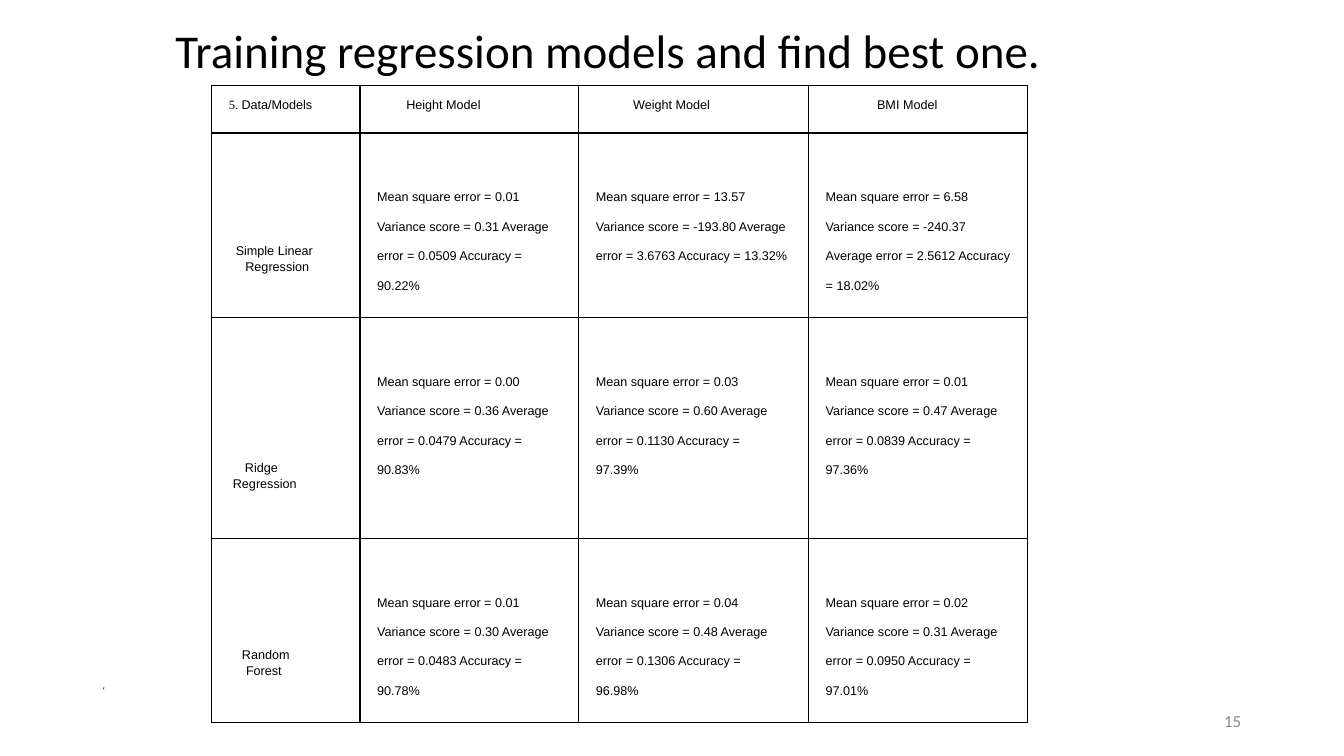
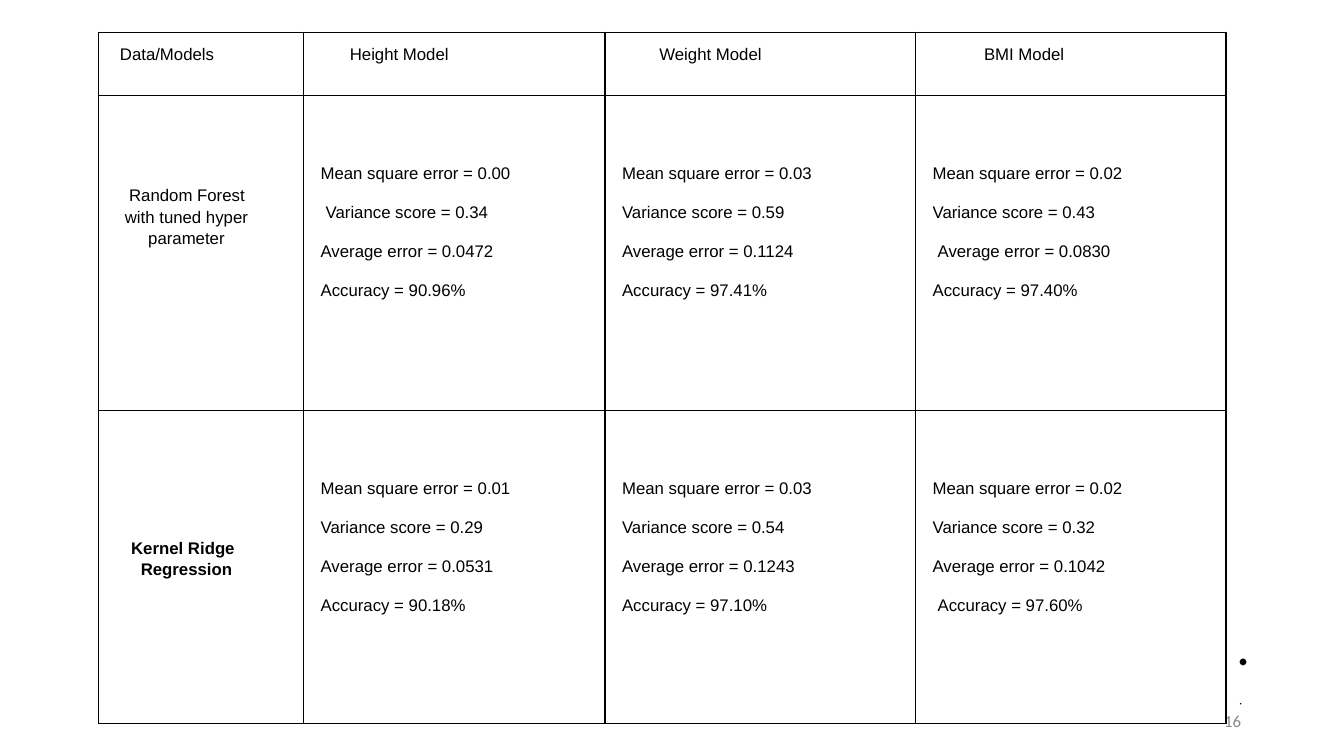
import dataclasses
import typing

import lxml.etree
import pptx
import pptx.dml.color
import pptx.enum.text
import pptx.oxml.ns
import pptx.util

Inches = pptx.util.Inches
Pt = pptx.util.Pt
ALIGN = pptx.enum.text.PP_ALIGN
ANCHOR = pptx.enum.text.MSO_ANCHOR

BLACK = "000000"
GRAY = "888888"
TITLE_FONT = "Calibri"
TABLE_FONT = "Arial"
CELL_INSET = 0.1
METRIC_INDENT = 0.07
METRIC_SPACING = 2.08
LABEL_SPACING = 1.15
NUDGE = 0.05
HEADERS = ["Data/Models", "Height Model", "Weight Model", "BMI Model"]
METRIC_NAMES = ["Mean square error", "Variance score", "Average error", "Accuracy"]


@dataclasses.dataclass
class Metrics:
    """Scores of one model; nudged is the line set slightly to the right."""
    values: typing.List[str]
    nudged: int = -1

    def lines(self):
        return [f"{name} = {value}" for name, value in zip(METRIC_NAMES, self.values)]


@dataclasses.dataclass
class ModelRow:
    """One table row; lengths are inches, top margins place the text."""
    label: str
    label_top: float
    indent: float
    first_line: float
    metrics: typing.List[Metrics]
    centred: bool = True
    bold: bool = False
    metric_right: float = CELL_INSET


@dataclasses.dataclass
class TableStyle:
    size: float
    header_indents: typing.List[float]
    metric_top: float
    label_right: float
    one_paragraph: bool


def color(hex_code):
    return pptx.dml.color.RGBColor.from_string(hex_code)


def format_run(span, size, font, hex_code=BLACK, bold=False):
    span.font.size = Pt(size)
    span.font.name = font
    span.font.bold = bold
    span.font.color.rgb = color(hex_code)


def format_para(para, spacing, align=ALIGN.LEFT, indent=0, first_line=0):
    properties = para._p.get_or_add_pPr()
    properties.set("marL", str(Inches(indent)))
    properties.set("indent", str(Inches(first_line)))
    para.alignment = align
    para.line_spacing = spacing
    para.space_before = Pt(0)


def place(shape, left, top, width, height):
    shape.left, shape.top = Inches(left), Inches(top)
    shape.width, shape.height = Inches(width), Inches(height)


def fill_box(box, text, size, spacing, anchor, hex_code=BLACK, align=ALIGN.LEFT, indent=0):
    frame = box.text_frame
    frame.word_wrap = True
    frame.auto_size = pptx.enum.text.MSO_AUTO_SIZE.NONE
    frame.vertical_anchor = anchor
    frame.text = text
    para = frame.paragraphs[0]
    format_para(para, spacing, align, indent)
    format_run(para.runs[0], size, TITLE_FONT, hex_code)


def add_title(page, text, bounds, size, spacing, anchor, indent=0):
    title = page.shapes.title
    place(title, *bounds)
    fill_box(title, text, size, spacing, anchor, indent=indent)
    return title


def add_text(page, text, bounds, size, spacing=1, anchor=ANCHOR.TOP, **style):
    box = page.shapes.add_textbox(*map(Inches, bounds))
    fill_box(box, text, size, spacing, anchor, **style)
    return box


def add_page_number(page, number):
    add_text(page, str(number), (9.41, 6.95, 3, 0.4), 12,
             anchor=ANCHOR.MIDDLE, hex_code=GRAY, align=ALIGN.RIGHT)


def add_borders(cell):
    properties = cell._tc.get_or_add_tcPr()
    for side in ("lnL", "lnR", "lnT", "lnB"):
        line = lxml.etree.SubElement(properties, pptx.oxml.ns.qn(f"a:{side}"), w=str(Pt(1)))
        fill = lxml.etree.SubElement(line, pptx.oxml.ns.qn("a:solidFill"))
        lxml.etree.SubElement(fill, pptx.oxml.ns.qn("a:srgbClr"), val=BLACK)


def fill_cell(cell, lines, size, top=CELL_INSET, right=CELL_INSET, bold=False):
    """Write the lines as paragraphs and return them."""
    add_borders(cell)
    cell.fill.background()
    cell.vertical_anchor = ANCHOR.TOP
    cell.margin_left = cell.margin_bottom = Inches(CELL_INSET)
    cell.margin_top, cell.margin_right = Inches(top), Inches(right)
    cell.text_frame.text = "\n".join(lines)
    for para in cell.text_frame.paragraphs:
        format_run(para.runs[0], size, TABLE_FONT, bold=bold)
    return cell.text_frame.paragraphs


def fill_model_row(table, index, row, style):
    label = fill_cell(table.cell(index, 0), [row.label], style.size,
                      row.label_top, style.label_right, row.bold)[0]
    format_para(label, LABEL_SPACING, ALIGN.CENTER if row.centred else ALIGN.LEFT,
                row.indent, row.first_line)
    for column, metrics in enumerate(row.metrics, 1):
        lines = metrics.lines()
        if style.one_paragraph:
            lines = [" ".join(lines)]
        paras = fill_cell(table.cell(index, column), lines, style.size,
                          style.metric_top, row.metric_right)
        for position, para in enumerate(paras):
            nudge = NUDGE if position == metrics.nudged else 0
            format_para(para, METRIC_SPACING, indent=METRIC_INDENT + nudge)


def add_model_table(page, left, top, widths, heights, rows, style):
    frame = page.shapes.add_table(len(heights), len(widths), Inches(left), Inches(top),
                                  Inches(sum(widths)), Inches(sum(heights)))
    table = frame.table
    table.first_row = table.horz_banding = False
    for column, width in zip(table.columns, widths):
        column.width = Inches(width)
    for table_row, height in zip(table.rows, heights):
        table_row.height = Inches(height)
    for index, (header, indent) in enumerate(zip(HEADERS, style.header_indents)):
        para = fill_cell(table.cell(0, index), [header], style.size)[0]
        format_para(para, LABEL_SPACING, indent=indent)
    for index, row in enumerate(rows, 1):
        fill_model_row(table, index, row, style)
    return table


def number_first_header(table, number, size):
    para = table.cell(0, 0).text_frame.paragraphs[0]
    para.runs[0].text = number
    format_run(para.runs[0], size, "Times New Roman")
    span = para.add_run()
    span.text = HEADERS[0]
    format_run(span, size, TABLE_FONT)


def add_training_slide(deck):
    page = deck.slides.add_slide(deck.slide_layouts[5])
    add_title(page, "Training regression models and find best one.",
              (0.92, 0.08, 11.5, 1.1), 33.6, LABEL_SPACING, ANCHOR.TOP, indent=0.72)
    add_text(page, "‘", (0.92, 6.78, 11.94, 0.17), 7, 0.7)
    add_page_number(page, 15)
    rows = [
        ModelRow("Simple Linear Regression", 1.08, 0.15, -0.06, [
            Metrics(["0.01", "0.31", "0.0509", "90.22%"]),
            Metrics(["13.57", "-193.80", "3.6763", "13.32%"]),
            Metrics(["6.58", "-240.37", "2.5612", "18.02%"])], metric_right=0.15),
        ModelRow("Ridge Regression", 1.4, 0.11, 0.12, [
            Metrics(["0.00", "0.36", "0.0479", "90.83%"]),
            Metrics(["0.03", "0.60", "0.1130", "97.39%"]),
            Metrics(["0.01", "0.47", "0.0839", "97.36%"])], centred=False, metric_right=0.27),
        ModelRow("Random Forest", 1.07, 0.24, -0.04, [
            Metrics(["0.01", "0.30", "0.0483", "90.78%"]),
            Metrics(["0.04", "0.48", "0.1306", "96.98%"]),
            Metrics(["0.02", "0.31", "0.0950", "97.01%"])], centred=False, metric_right=0.27),
    ]
    style = TableStyle(9, [0.07, 0.36, 0.44, 0.58], 0.42, 0.42, one_paragraph=True)
    table = add_model_table(page, 2.1, 0.85, [1.47, 2.17, 2.28, 2.17],
                            [0.47, 1.83, 2.19, 1.83], rows, style)
    number_first_header(table, "5. ", style.size)


def add_tuned_slide(deck):
    page = deck.slides.add_slide(deck.slide_layouts[5])
    title = add_title(page, ".", (0.92, 6.6, 11.58, 0.24), 39.6, 0.9, ANCHOR.MIDDLE)
    small_dot = add_text(page, ".", (0.92, 6.76, 11.5, 0.35), 9.1, 0.7)
    title.rotation = small_dot.rotation = 180
    add_page_number(page, 16)
    rows = [
        ModelRow("Random Forest with tuned hyper parameter", 0.87, 0.11, 0.01, [
            Metrics(["0.00", "0.34", "0.0472", "90.96%"], nudged=1),
            Metrics(["0.03", "0.59", "0.1124", "97.41%"]),
            Metrics(["0.02", "0.43", "0.0830", "97.40%"], nudged=2)]),
        ModelRow("Kernel Ridge Regression", 1.25, 0.11, -0.07, [
            Metrics(["0.01", "0.29", "0.0531", "90.18%"]),
            Metrics(["0.03", "0.54", "0.1243", "97.10%"]),
            Metrics(["0.02", "0.32", "0.1042", "97.60%"], nudged=3)], bold=True),
    ]
    style = TableStyle(12, [0.11, 0.36, 0.44, 0.58], 0.48, 0.5, one_paragraph=False)
    add_model_table(page, 0.98, 0.32, [2.03, 2.99, 3.08, 3.08], [0.63, 3.12, 3.11], rows, style)


def main():
    deck = pptx.Presentation()
    deck.slide_width, deck.slide_height = Inches(13.33), Inches(7.5)
    add_training_slide(deck)
    add_tuned_slide(deck)
    deck.save("out.pptx")


if __name__ == "__main__":
    main()
